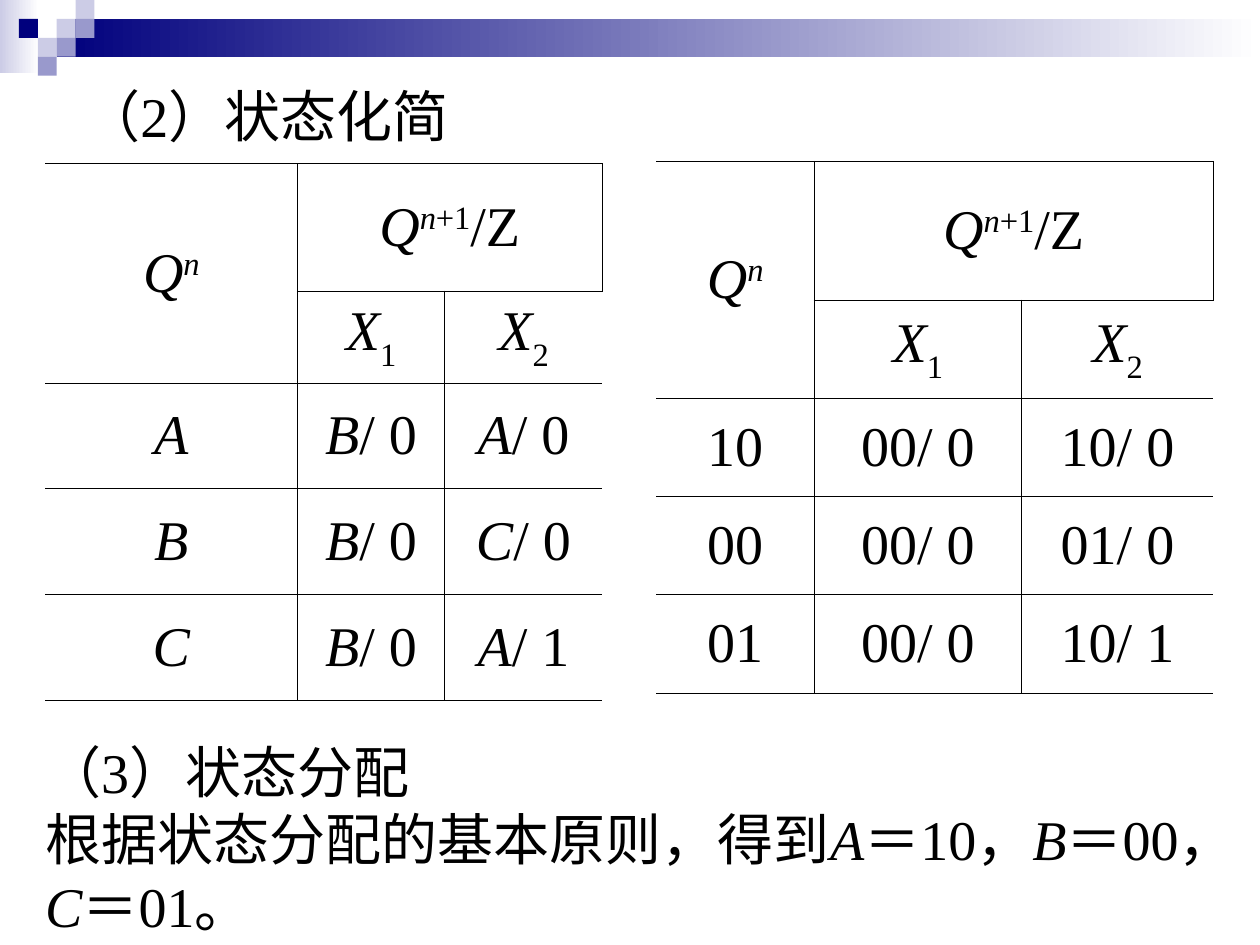
from dataclasses import dataclass

from lxml import etree
from pptx import Presentation
from pptx.dml.color import RGBColor
from pptx.enum.shapes import MSO_SHAPE
from pptx.enum.text import MSO_ANCHOR, PP_ALIGN
from pptx.oxml.ns import qn
from pptx.util import Inches, Pt

RECTANGLE = MSO_SHAPE.RECTANGLE
MIDDLE = MSO_ANCHOR.MIDDLE
LEFT, CENTER = PP_ALIGN.LEFT, PP_ALIGN.CENTER


@dataclass(frozen=True)
class Theme:
    font: str = "Times New Roman"
    size: Pt = Pt(32)
    rule: Pt = Pt(0.45)
    ink: RGBColor = RGBColor(0, 0, 0)
    white: RGBColor = RGBColor(0xFF, 0xFF, 0xFF)
    navy: RGBColor = RGBColor(0x00, 0x00, 0x7D)
    lilac: RGBColor = RGBColor(0x99, 0x99, 0xCC)
    pale: RGBColor = RGBColor(0xCC, 0xCC, 0xE6)


theme = Theme()


def write(para, spans, align):
    """Fill a paragraph from (text, marks): i italic, ^ superscript, _ subscript."""
    para.alignment = align
    para.font.name, para.font.size = theme.font, theme.size
    para.font.color.rgb = theme.ink
    for text, marks in spans:
        span = para.add_run()
        span.text = text
        # Spans carry the type too, so that it outranks placeholder and table styles.
        span.font.name, span.font.size = theme.font, theme.size
        span.font.color.rgb = theme.ink
        if "i" in marks:
            span.font.italic = True
        for mark, baseline in (("^", "30000"), ("_", "-30000")):
            if mark in marks:
                span.font._element.set("baseline", baseline)


def set_borders(cell, visible):
    """Rule the visible sides of a cell and clear the others."""
    properties = cell._tc.get_or_add_tcPr()
    for side in ("L", "R", "T", "B"):
        line = etree.SubElement(properties, qn(f"a:ln{side}"), w=str(int(theme.rule)))
        if side in visible:
            fill = etree.SubElement(line, qn("a:solidFill"))
            etree.SubElement(fill, qn("a:srgbClr"), val=str(theme.ink))
        else:
            etree.SubElement(line, qn("a:noFill"))


deck = Presentation()
deck.slide_width, deck.slide_height = Inches(10), Inches(7.5)
page = deck.slides.add_slide(deck.slide_layouts[5])  # Title Only

# Header band: two gradients, then a checker of small squares
unit = 0.15
gradients = [
    ((0, 0, 0.31, 0.58), theme.pale, theme.white),
    ((0.45, unit, 9.55, 0.3), theme.navy, theme.white),
]
squares = [  # column, row, colour
    (3, 1, theme.pale), (4, 0, theme.pale), (4, 1, theme.lilac), (2, 2, theme.pale),
    (1, 1, theme.navy), (3, 2, theme.lilac), (2, 3, theme.lilac),
]
for place, start, end in gradients:
    band = page.shapes.add_shape(RECTANGLE, *map(Inches, place))
    band.shadow.inherit = False
    band.line.fill.background()
    band.fill.gradient()
    band.fill.gradient_angle = 0
    for stop, color in zip(band.fill.gradient_stops, (start, end)):
        stop.color.rgb = color
for column, row, color in squares:
    square = page.shapes.add_shape(
        RECTANGLE, Inches(column * unit), Inches(row * unit), Inches(unit), Inches(unit))
    square.shadow.inherit = False
    square.line.fill.background()
    square.fill.solid()
    square.fill.fore_color.rgb = color

# Heading
title = page.shapes.title
title.left, title.top = Inches(0.57), Inches(0.59)
title.width, title.height = Inches(3.4), Inches(0.64)
title.text_frame.word_wrap = False
title.text_frame.vertical_anchor = MIDDLE
write(title.text_frame.paragraphs[0], [("（2）状态化简", "")], LEFT)

# State tables, by letter and by code: place, columns, rows, body
header = [
    [[("Q", "i"), ("n", "i^")], [("Q", "i"), ("n", "i^"), ("+1", "^"), ("/Z", "")], []],
    [[], [("X", "i"), ("1", "_")], [("X", "i"), ("2", "_")]],
]
letters = [
    [[(state, "i")], [("B", "i"), ("/ 0", "")], [(following, "i"), (output, "")]]
    for state, following, output in (("A", "A", "/ 0"), ("B", "C", "/ 0"), ("C", "A", "/ 1"))
]
codes = [
    [[(state, "")], [("00/ 0", "")], [(following, "")]]
    for state, following in (("10", "10/ 0"), ("00", "01/ 0"), ("01", "10/ 1"))
]
tables = [
    ((0.36, 1.3, 4.42, 4.25), (2, 1.17, 1.25), (1.01, 0.73, 0.84, 0.84, 0.84), letters),
    ((5.21, 1.28, 4.42, 4.21), (1.25, 1.65, 1.52), (1.1, 0.78, 0.78, 0.78, 0.78), codes),
]
for place, widths, heights, body in tables:
    table = page.shapes.add_table(len(heights), len(widths), *map(Inches, place)).table
    table.first_row = table.horz_banding = False
    for column, width in zip(table.columns, widths):
        column.width = Inches(width)
    for row, height in zip(table.rows, heights):
        row.height = Inches(height)
    table.cell(0, 0).merge(table.cell(1, 0))
    table.cell(0, 1).merge(table.cell(0, 2))
    last = len(widths) - 1
    for row, entries in zip(table.rows, header + body):
        for index, (cell, spans) in enumerate(zip(row.cells, entries)):
            set_borders(cell, "TB" + "L" * (index > 0) + "R" * (index < last))
            cell.fill.background()
            cell.vertical_anchor = MIDDLE
            write(cell.text_frame.paragraphs[0], spans, CENTER)

# State assignment
box = page.shapes.add_textbox(Inches(0.26), Inches(5.8), Inches(9.74), Inches(1.7))
frame = box.text_frame
frame.word_wrap = True
frame.vertical_anchor = MIDDLE
write(frame.paragraphs[0], [("（3）状态分配", "")], LEFT)
assignment = [
    ("根据状态分配的基本原则，得到", ""), ("A", "i"), ("＝10，", ""),
    ("B", "i"), ("＝00，", ""), ("C", "i"), ("＝01。", ""),
]
write(frame.add_paragraph(), assignment, LEFT)

deck.save("out.pptx")
